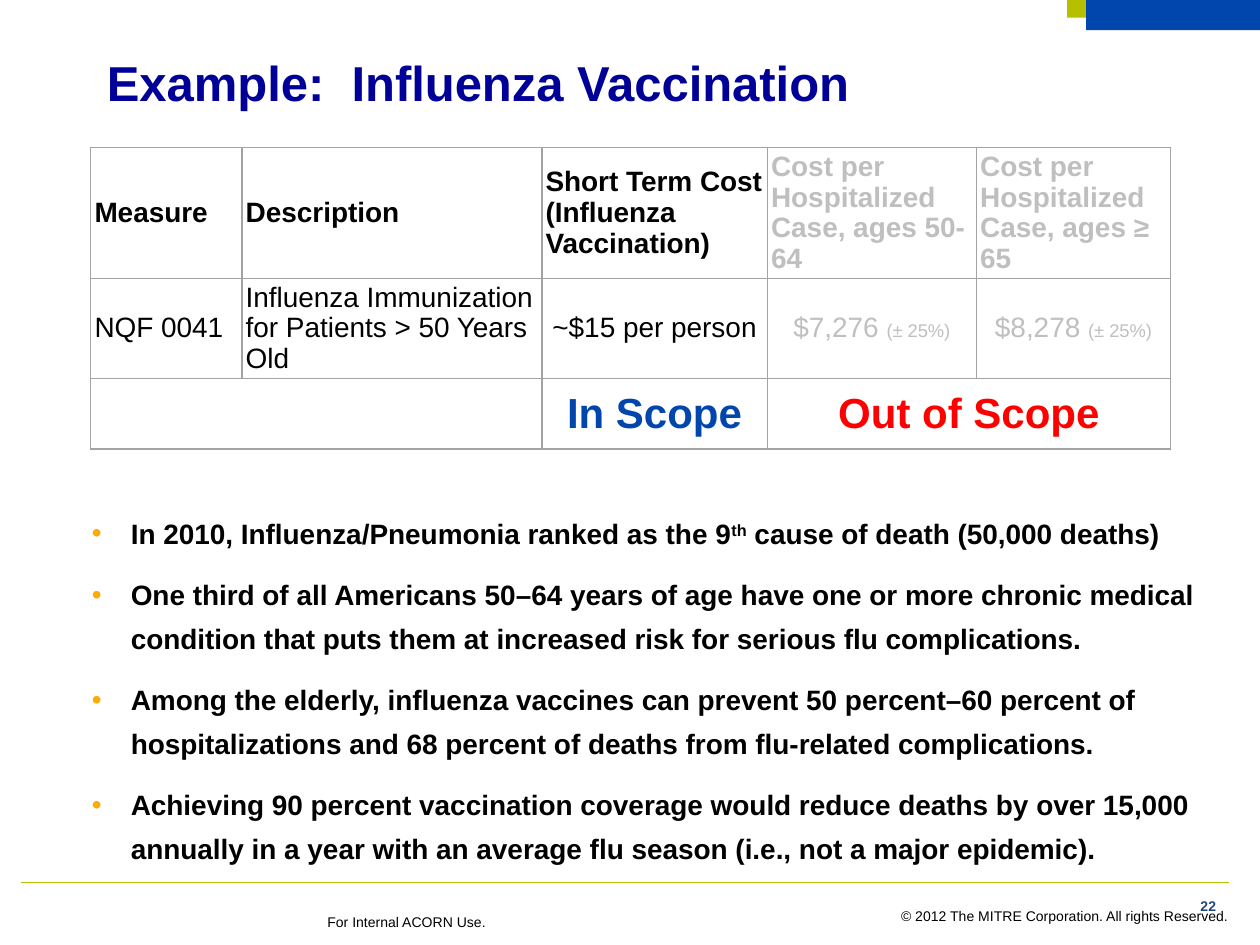
from lxml.etree import SubElement
from pptx import Presentation
from pptx.dml.color import RGBColor
from pptx.enum.shapes import MSO_CONNECTOR, MSO_SHAPE
from pptx.enum.text import MSO_ANCHOR, PP_ALIGN
from pptx.oxml.ns import qn
from pptx.util import Inches, Pt

COLS, ROWS = 100, 75
UNIT = Inches(10) / COLS
LIME = RGBColor(0xB6, 0xBF, 0x00)
BLUE = RGBColor(0x00, 0x46, 0xAD)
NAVY = RGBColor(0x00, 0x00, 0x99)
SLATE = RGBColor(0x1F, 0x49, 0x7D)
BLACK = RGBColor(0, 0, 0)
PALE = RGBColor(0xBF, 0xBF, 0xBF)
RED = RGBColor(0xFF, 0, 0)
RULE = "A3A3A3"
DOT = "FDAA03"

HEAD = ["Measure", "Description", "Short Term Cost (Influenza Vaccination)",
        "Cost per Hospitalized Case, ages 50-64",
        "Cost per Hospitalized Case, ages ≥ 65"]
DATA = ["NQF 0041", "Influenza Immunization for Patients > 50 Years Old",
        "~$15 per person", "$7,276 ", "$8,278 "]
POINTS = [
    ["In 2010, Influenza/Pneumonia ranked as the 9", "th",
     " cause of death (50,000 deaths)"],
    ["One third of all Americans 50–64 years of age have one or more chronic "
     "medical condition that puts them at increased risk for serious flu complications."],
    ["Among the elderly, influenza vaccines can prevent 50 percent–60 percent of "
     "hospitalizations and 68 percent of deaths from flu-related complications."],
    ["Achieving 90 percent vaccination coverage would reduce deaths by over 15,000 "
     "annually in a year with an average flu season (i.e., not a major epidemic)."],
]


def grid(*spans):
    return [round(span * UNIT) for span in spans]


def apply(thing, form):
    for name, value in form.items():
        setattr(thing, name, value)


def add_run(para, text, size, ink, bold=False):
    run = para.add_run()
    run.text = text
    apply(run.font, {"name": "Arial", "size": Pt(size), "bold": bold})
    run.font.color.rgb = ink
    return run


def add_text(slide, spot, text, size, ink, bold=False, wrap=True, **form):
    frame = slide.shapes.add_textbox(*grid(*spot)).text_frame
    frame.word_wrap = wrap
    para = frame.paragraphs[0]
    apply(para, form)
    add_run(para, text, size, ink, bold)


def add_bar(slide, spot, ink):
    bar = slide.shapes.add_shape(MSO_SHAPE.RECTANGLE, *grid(*spot))
    bar.shadow.inherit = False
    bar.fill.solid()
    bar.fill.fore_color.rgb = ink
    bar.line.fill.background()


def add_rule(slide, ends, ink):
    rule = slide.shapes.add_connector(MSO_CONNECTOR.STRAIGHT, *grid(*ends))
    rule.line.color.rgb = ink
    rule.line.width = Pt(0.5)
    SubElement(rule._element.spPr, qn("a:effectLst"))


def add_edges(cell):
    props = cell._tc.get_or_add_tcPr()
    for side in ("lnL", "lnR", "lnT", "lnB"):
        edge = SubElement(props, qn("a:" + side), w=str(Pt(1)))
        paint = SubElement(edge, qn("a:solidFill"))
        SubElement(paint, qn("a:srgbClr"), val=RULE)


def fill_cell(cell, text, size, ink, bold, align):
    para = cell.text_frame.paragraphs[0]
    apply(para, {"alignment": align, "line_spacing": Pt(size * 1.1)})
    add_run(para, text, size, ink, bold)
    return para


def add_costs(slide):
    wide, high = [12, 23.8, 17.9, 16.6, 15.4], [10.4, 7.9, 5.6]
    spot = grid(7.2, 11.7, sum(wide), sum(high))
    table = slide.shapes.add_table(len(high), len(wide), *spot).table
    apply(table, {"first_row": False, "horz_banding": False})
    for part, span in zip(table.columns, grid(*wide)):
        part.width = span
    for part, span in zip(table.rows, grid(*high)):
        part.height = span
    pad = Inches(0.03)
    form = {"vertical_anchor": MSO_ANCHOR.MIDDLE, "margin_left": pad,
            "margin_right": pad, "margin_top": pad, "margin_bottom": pad}
    for cell in table.iter_cells():
        apply(cell, form)
        add_edges(cell)
        cell.fill.background()
    for col, (head, text) in enumerate(zip(HEAD, DATA)):
        ink = PALE if col > 2 else BLACK
        align = PP_ALIGN.CENTER if col > 1 else PP_ALIGN.LEFT
        fill_cell(table.cell(0, col), head, 16, ink, True, PP_ALIGN.LEFT)
        para = fill_cell(table.cell(1, col), text, 16, ink, False, align)
        if col > 2:
            add_run(para, "(± 25%)", 10.5, ink)
    for col in (0, 3):
        table.cell(2, col).merge(table.cell(2, col + 1))
    for col, text, ink in ((2, "In Scope", BLUE), (3, "Out of Scope", RED)):
        fill_cell(table.cell(2, col), text, 24, ink, True, PP_ALIGN.CENTER)


def add_points(slide):
    frame = slide.shapes.add_textbox(*grid(6.3, 39.7, 89.9, 29.6)).text_frame
    frame.word_wrap = True
    for num, parts in enumerate(POINTS):
        para = frame.add_paragraph() if num else frame.paragraphs[0]
        props = para._p.get_or_add_pPr()
        apply(para, {"line_spacing": Pt(25), "space_after": Pt(10)})
        dent = Inches(0.31)
        props.set("marL", str(dent))
        props.set("indent", str(-dent))
        paint = SubElement(props, qn("a:buClr"))
        SubElement(paint, qn("a:srgbClr"), val=DOT)
        SubElement(props, qn("a:buFont"), typeface="Arial")
        SubElement(props, qn("a:buChar"), char="•")
        for text in parts:
            run = add_run(para, text, 16, BLACK, True)
            if text == "th":
                run.font._element.set("baseline", "30000")


def main():
    deck = Presentation()
    apply(deck, {"slide_width": round(COLS * UNIT),
                 "slide_height": round(ROWS * UNIT)})
    slide = deck.slides.add_slide(deck.slide_layouts[6])
    add_bar(slide, (84.7, 0, 15.3, 1.4), LIME)
    add_bar(slide, (86.2, 0, 13.8, 2.4), BLUE)
    add_rule(slide, (1.7, 70, 97.5, 70), LIME)
    add_text(slide, (70.1, 71.5, 28.4, 2.4),
             "© 2012 The MITRE Corporation. All rights Reserved.",
             8, BLACK, wrap=False, alignment=PP_ALIGN.RIGHT)
    add_text(slide, (25, 71.5, 21.7, 2.6), "For Internal ACORN Use.",
             8, BLACK, line_spacing=Pt(13))
    add_text(slide, (7.5, 4.2, 78.3, 5.8), "Example:  Influenza Vaccination",
             28, NAVY, bold=True, line_spacing=Pt(30))
    add_costs(slide)
    add_text(slide, (91.7, 70.5, 5.8, 1.7), "22", 8, SLATE, bold=True,
             wrap=False, alignment=PP_ALIGN.RIGHT, line_spacing=1.2)
    add_points(slide)
    deck.save("out.pptx")


if __name__ == "__main__":
    main()
